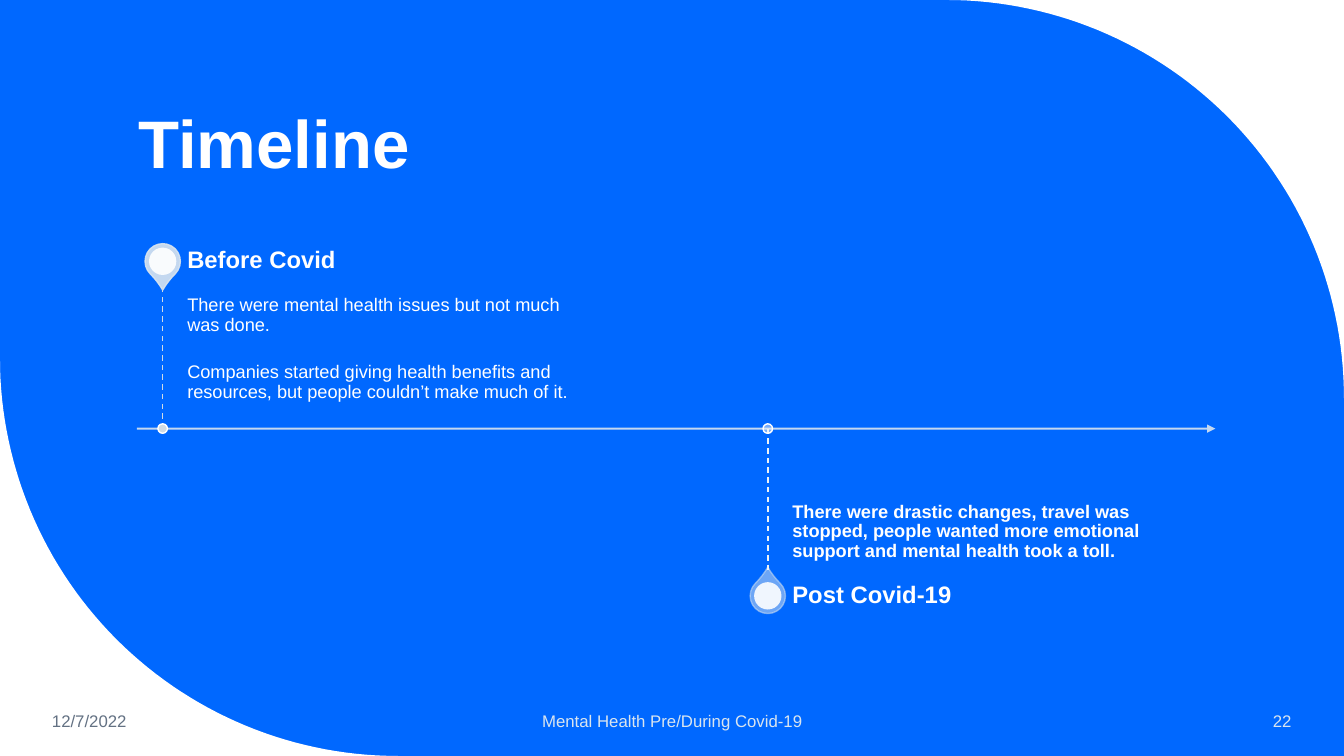
import math

from lxml import etree
from pptx import Presentation
from pptx import util as u
from pptx.dml.color import RGBColor
from pptx.enum import dml, shapes, text
from pptx.oxml.ns import qn

BLUE = RGBColor(0x00, 0x68, 0xFF)
WHITE = RGBColor(0xFF, 0xFF, 0xFF)
MIST = RGBColor(0xDA, 0xE5, 0xEF)
STEEL = RGBColor(0xD0, 0xDB, 0xE4)
FROST = RGBColor(0xEE, 0xF3, 0xF7)
SLATE = RGBColor(0x63, 0x71, 0x83)
FONT = "Arial"

PAGE_WIDTH, PAGE_HEIGHT = 33.87, 19.05
CORNER_RADIUS = 10.03
HEADING_HEIGHT, BODY_HEIGHT, TEXT_WIDTH = 1.27, 3.58, 9.88
TEXT_OFFSET = 0.62
PIN_SIZE, PIN_EYE_SIZE, DOT_SIZE = 0.89, 0.69, 0.24


def set_opacity(parent, percent):
    colour = parent.find(qn("a:solidFill"))[0]
    etree.SubElement(colour, qn("a:alpha")).set("val", str(percent * 1000))


def write(frame, paragraphs, size, colour=WHITE, bold=False, align=text.PP_ALIGN.LEFT,
          anchor=text.MSO_ANCHOR.TOP, spacing=0.9, gap=0, insets=(0.25, 0.13, 0.25, 0.13)):
    """Fill a text frame; insets run left, top, right, bottom in centimetres."""
    frame.word_wrap = True
    frame.auto_size = text.MSO_AUTO_SIZE.NONE
    frame.vertical_anchor = anchor
    (frame.margin_left, frame.margin_top,
     frame.margin_right, frame.margin_bottom) = map(u.Cm, insets)
    for index, words in enumerate(paragraphs):
        para = frame.add_paragraph() if index else frame.paragraphs[0]
        para.alignment = align
        para.line_spacing = spacing
        para.space_after = u.Pt(gap)
        span = para.add_run()
        span.text = words
        span.font.name, span.font.size, span.font.bold = FONT, u.Pt(size), bold
        span.font.color.rgb = colour


def add_text(page, box, paragraphs, **style):
    write(page.shapes.add_textbox(*map(u.Cm, box)).text_frame, paragraphs, **style)


def add_centred(page, kind, x, y, size, fill, opacity=100, line=None, line_opacity=100):
    """Add a square preset shape centred on x, y."""
    shape = page.shapes.add_shape(
        kind, *map(u.Cm, (x - size / 2, y - size / 2, size, size)))
    shape.shadow.inherit = False
    shape.fill.solid()
    shape.fill.fore_color.rgb = fill
    set_opacity(shape.element.spPr, opacity)
    if line is None:
        shape.line.fill.background()
    else:
        shape.line.color.rgb = line
        shape.line.width = u.Pt(1)
        set_opacity(shape.element.spPr.find(qn("a:ln")), line_opacity)
    return shape


def add_line(page, start, end, colour, width):
    line = page.shapes.add_connector(
        shapes.MSO_CONNECTOR.STRAIGHT, *map(u.Cm, (*start, *end)))
    line.line.color.rgb = colour
    line.line.width = u.Pt(width)
    etree.SubElement(line.element.spPr, qn("a:effectLst"))
    return line


def add_corner(page, corner, start_angle, steps=60):
    """Cover a page corner outside a quarter circle that starts at start_angle degrees."""
    centre = [abs(edge - CORNER_RADIUS) for edge in corner]
    points = []
    for step in range(steps + 1):
        angle = math.radians(start_angle + 90 * step / steps)
        points.append((u.Cm(centre[0] + CORNER_RADIUS * math.cos(angle)),
                       u.Cm(centre[1] + CORNER_RADIUS * math.sin(angle))))
    builder = page.shapes.build_freeform(*map(u.Cm, corner))
    builder.add_line_segments(points, close=True)
    shape = builder.convert_to_shape()
    shape.shadow.inherit = False
    shape.fill.solid()
    shape.fill.fore_color.rgb = WHITE
    shape.line.fill.background()


def add_title(page, box, words):
    title = page.shapes.title
    title.left, title.top, title.width, title.height = map(u.Cm, box)
    write(title.text_frame, [words], size=48, bold=True, anchor=text.MSO_ANCHOR.BOTTOM)


def add_axis(page, left, right, y):
    axis = add_line(page, (left, y), (right, y), MIST, 1.5)
    outline = axis.element.spPr.find(qn("a:ln"))
    set_opacity(outline, 90)
    etree.SubElement(outline, qn("a:tailEnd")).set("type", "triangle")


def add_milestone(page, x, axis_y, heading, body, above, accent, pin_opacity, dot_opacity,
                  **body_style):
    """Add a pin, its texts and a dashed stem above or below the axis."""
    side = -1 if above else 1
    stem_end = axis_y + side * BODY_HEIGHT
    pin_y = stem_end + side * HEADING_HEIGHT / 2
    text_left = x + TEXT_OFFSET

    pin = add_centred(page, shapes.MSO_SHAPE.TEAR, x, pin_y, PIN_SIZE, MIST, pin_opacity,
                      MIST, pin_opacity)
    pin.adjustments[0] = 1.15
    pin.rotation = 135 if above else 315
    add_centred(page, shapes.MSO_SHAPE.OVAL, x, pin_y, PIN_EYE_SIZE, WHITE, 90)

    add_text(page, (text_left, min(axis_y, stem_end), TEXT_WIDTH, BODY_HEIGHT), body,
             size=13, **body_style)
    add_text(page, (text_left, pin_y - HEADING_HEIGHT / 2, TEXT_WIDTH, HEADING_HEIGHT),
             [heading], size=17, bold=True, anchor=text.MSO_ANCHOR.MIDDLE,
             insets=(0, 0, 0.3, 0))

    stem = add_line(page, (x, axis_y), (x, stem_end), accent, 1)
    stem.line.dash_style = dml.MSO_LINE.DASH
    add_centred(page, shapes.MSO_SHAPE.OVAL, x, axis_y, DOT_SIZE, accent, dot_opacity, WHITE)


def add_timeline(page, left, right, y):
    add_axis(page, left, right, y)
    add_milestone(
        page, left + 0.65, y, "Before Covid",
        ["There were mental health issues but not much was done.",
         "Companies started giving health benefits and resources, "
         "but people couldn’t make much of it."],
        above=True, accent=STEEL, pin_opacity=90, dot_opacity=100,
        gap=20, insets=(0, 0.23, 0, 0.36))
    add_milestone(
        page, left + 15.9, y, "Post Covid-19",
        ["There were drastic changes, travel was stopped, people wanted more "
         "emotional support and mental health took a toll."],
        above=False, accent=FROST, pin_opacity=50, dot_opacity=50,
        bold=True, anchor=text.MSO_ANCHOR.BOTTOM, insets=(0, 0.36, 0.23, 0.23))


def add_footer(page, top, height):
    for left, width, words, colour, align in (
            (1.06, 4.72, "12/7/2022", SLATE, text.PP_ALIGN.LEFT),
            (11.23, 11.43, "Mental Health Pre/During Covid-19", MIST, text.PP_ALIGN.CENTER),
            (28.2, 4.6, "22", MIST, text.PP_ALIGN.RIGHT)):
        add_text(page, (left, top, width, height), [words], size=12, colour=colour,
                 align=align, anchor=text.MSO_ANCHOR.MIDDLE, spacing=1.0)


def main():
    deck = Presentation()
    deck.slide_width, deck.slide_height = u.Cm(PAGE_WIDTH), u.Cm(PAGE_HEIGHT)
    page = deck.slides.add_slide(deck.slide_layouts.get_by_name("Title Only"))
    page.background.fill.solid()
    page.background.fill.fore_color.rgb = BLUE
    add_corner(page, (PAGE_WIDTH, 0), start_angle=270)
    add_corner(page, (0, PAGE_HEIGHT), start_angle=90)
    add_title(page, (3.24, 1.07, 27.15, 3.68), "Timeline")
    add_timeline(page, left=3.45, right=30.63, y=10.8)
    add_footer(page, top=17.65, height=1.02)
    deck.save("out.pptx")


if __name__ == "__main__":
    main()
